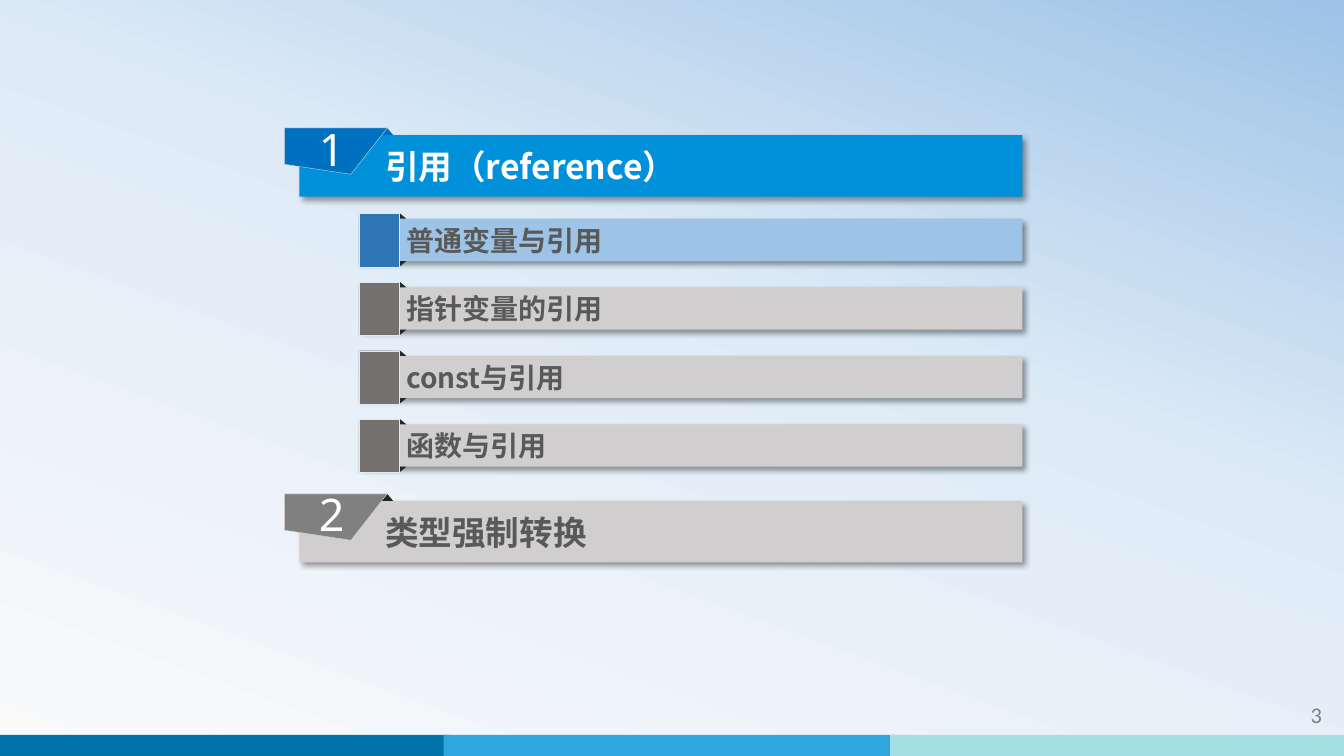
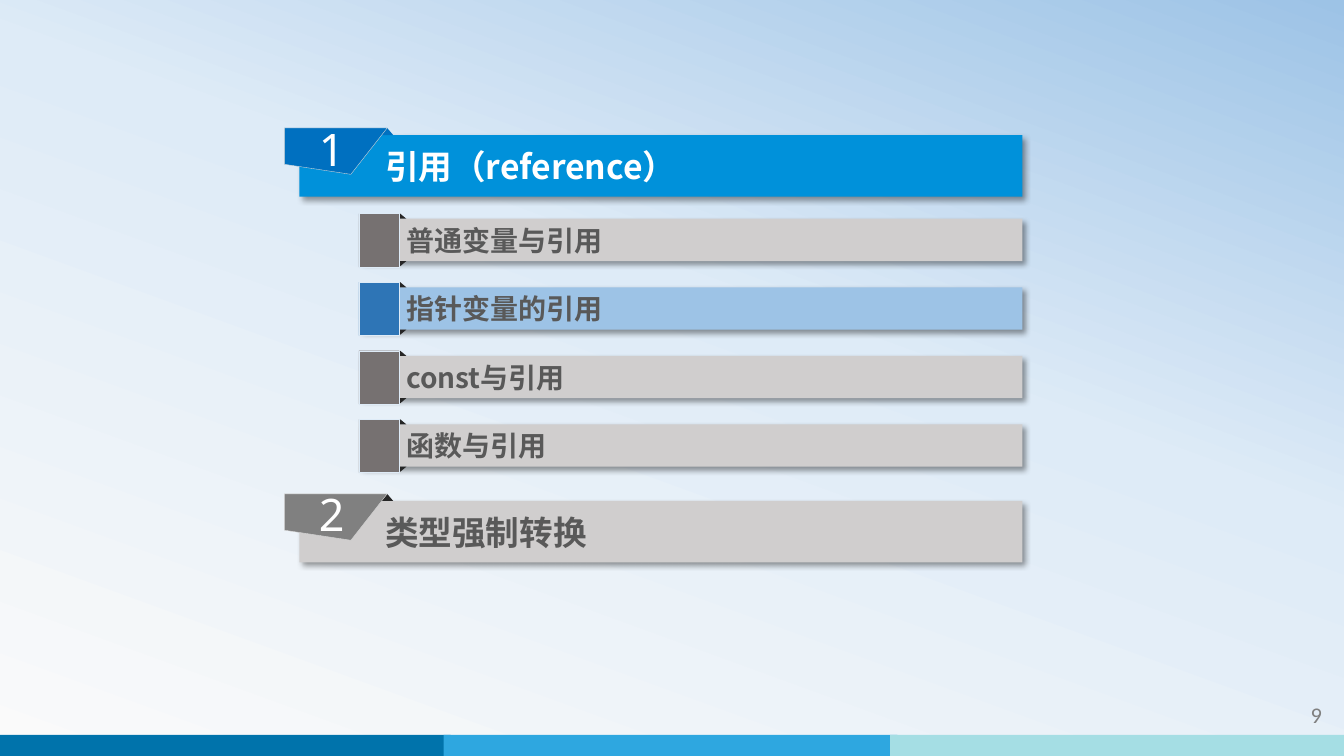
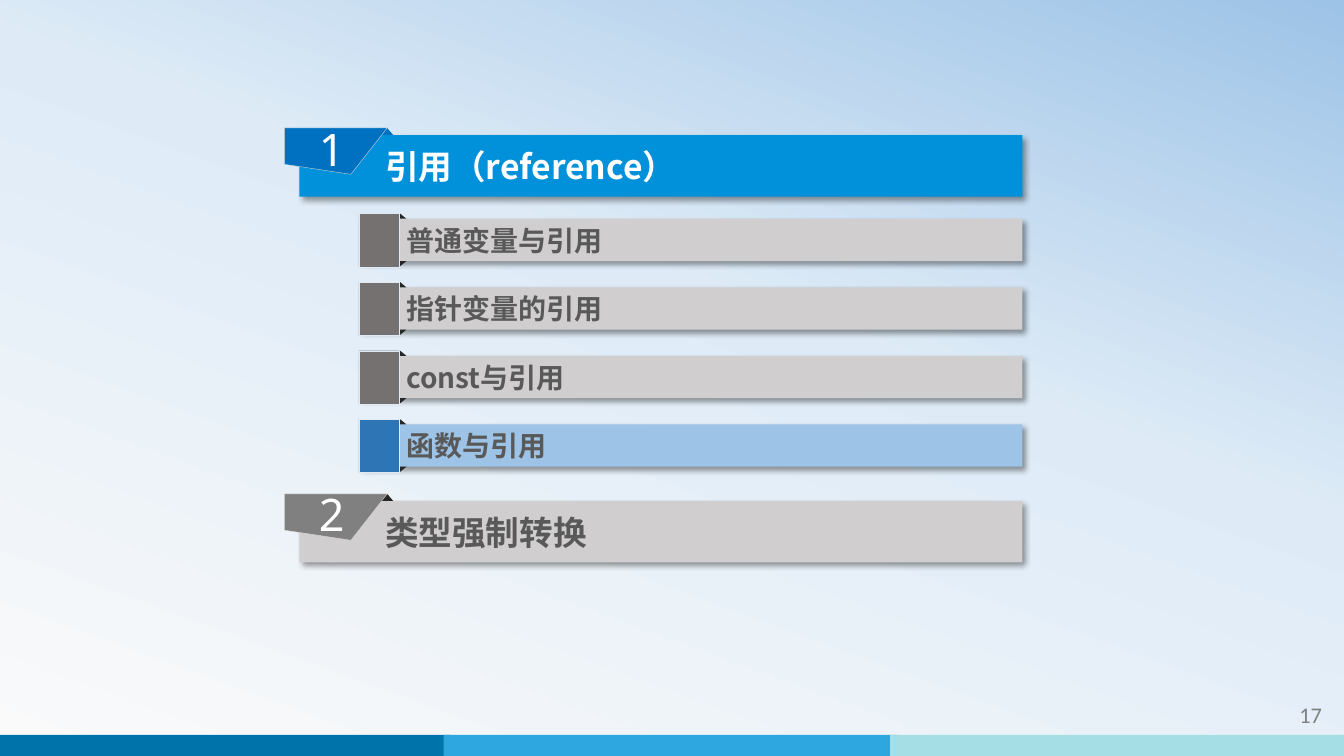
from copy import deepcopy
from dataclasses import dataclass

from lxml.etree import SubElement
from pptx import Presentation
from pptx.dml.color import RGBColor as RGB
from pptx.enum.shapes import MSO_SHAPE as Kind
from pptx.enum.text import MSO_ANCHOR as Anchor, PP_ALIGN as Align
from pptx.oxml.ns import qn
from pptx.util import Inches, Pt

# Content: page number and the index of the topic in focus
PAGES = [("3", 0), ("9", 1), ("17", 3)]
TOPICS = ["普通变量与引用", "指针变量的引用", "const与引用", "函数与引用"]


@dataclass(frozen=True)
class Theme:
    """Colours, fonts and type sizes of the deck."""
    sky: tuple = ((0, "FAFAFA"), (0.58, "DEEBF7"), (1, "9DC3E6"))
    bands: tuple = ("0073AB", "2EA7E0", "A5DEE4")
    white: str = "FFFFFF"
    ink: str = "595959"
    fold: str = "262626"
    page: str = "808080"
    rim: str = "D9D9D9"
    edge: str = "DEEBF7"
    shade: str = "000000"
    # (bar, tab) for a topic in focus and at rest
    focus: tuple = ("9DC3E6", "2E75B6")
    rest: tuple = ("D0CECE", "767171")
    # (bar, badge, fold, text) for a section
    live: tuple = ("0091DA", "0070C0", "0070C0", "FFFFFF")
    idle: tuple = ("D0CECE", "808080", "262626", "595959")
    han: str = "Noto Sans CJK SC"
    sans: str = "Noto Sans"
    plain: str = "Calibri"
    badge_pt: int = 32
    head_pt: int = 24
    topic_pt: int = 20
    page_pt: int = 16


T = Theme()
SECTIONS = [("1", "引用（reference）", 1.27, T.live),
            ("2", "类型强制转换", 4.9, T.idle)]

# Grid, in inches
WIDE, HIGH = 13.33, 7.5
BAND_X, BAND_STEP, BAND_W, BAND_H = -0.03, 4.43, 4.5, 0.21
RIGHT = 10.14
HEAD_X, HEAD_H = 2.97, 0.61
BADGE_X, BADGE_W, BADGE_H = 2.82, 1.02, 0.46
TAB_X, TAB_W, TAB_H = 3.56, 0.4, 0.53
BAR_X, BAR_H = 3.57, 0.42
TOPIC_Y, PITCH = 2.12, 0.68
FOLD_W, FOLD_H = 0.12, 0.05


def paint(shape, fill, line=None):
    """Give a shape a flat fill, a thin line or none, and no shadow."""
    shape.shadow.inherit = False
    shape.fill.solid()
    shape.fill.fore_color.rgb = RGB.from_string(fill)
    if line:
        shape.line.color.rgb = RGB.from_string(line)
        shape.line.width = Pt(0.25)
    else:
        shape.line.fill.background()
    return shape


def draw(shapes, kind, box, fill, line=None):
    """Add a preset shape at a box given in inches."""
    return paint(shapes.add_shape(kind, *map(Inches, box)), fill, line)


def write(shape, text, size, font, color, bold=False, align=Align.LEFT,
          inset=(0.1, 0.05, 0.1, 0.05), anchor=Anchor.MIDDLE):
    """Set one line of text with its insets and font."""
    frame = shape.text_frame
    frame.text = text
    frame.word_wrap = True
    frame.vertical_anchor = anchor
    (frame.margin_left, frame.margin_top,
     frame.margin_right, frame.margin_bottom) = map(Inches, inset)
    para = frame.paragraphs[0]
    para.alignment = align
    for run in para.runs:
        face = run.font
        face.name, face.size, face.bold = font, Pt(size), bold
        face.color.rgb = RGB.from_string(color)
        SubElement(face._element, qn("a:ea"), typeface=font)


def cast(shape):
    """Drop a soft shadow to the lower right."""
    effects = shape.element.spPr.find(qn("a:effectLst"))
    outer = SubElement(effects, qn("a:outerShdw"), blurRad=str(Pt(4)),
                       dist=str(Pt(3)), dir="2700000", algn="tl",
                       rotWithShape="0")
    color = SubElement(outer, qn("a:srgbClr"), val=T.shade)
    SubElement(color, qn("a:alpha"), val="40000")


def add_bar(shapes, left, top, high, fill, text, size, color, indent):
    """Add a shadowed bar that reaches the right edge of the list."""
    bar = draw(shapes, Kind.RECTANGLE, (left, top, RIGHT - left, high), fill)
    cast(bar)
    write(bar, text, size, T.han, color, bold=True,
          inset=(indent, 0.05, 0.1, 0.05))


def add_section(slide, mark, text, top, look):
    """Add a section bar with its numbered badge."""
    fill, badge, fold, color = look
    shapes = slide.shapes.add_group_shape().shapes
    add_bar(shapes, HEAD_X, top + 0.07, HEAD_H, fill, text, T.head_pt,
            color, 0.85)
    draw(shapes, Kind.ISOSCELES_TRIANGLE, (3.78, top, FOLD_W, 0.07), fold)
    tip = BADGE_X + 0.66
    spots = [(BADGE_X + BADGE_W, top), (tip, top + BADGE_H),
             (BADGE_X, top + 0.36)]
    pen = shapes.build_freeform(Inches(BADGE_X), Inches(top))
    pen.add_line_segments([(Inches(x), Inches(y)) for x, y in spots])
    flag = paint(pen.convert_to_shape(), badge, T.rim)
    write(flag, mark, T.badge_pt, T.sans, T.white, align=Align.CENTER,
          inset=(0.09, 0.04, 0.17, 0.1))


def add_topic(slide, row, text, look):
    """Add a topic bar with a tab folded round its left end."""
    fill, tab = look
    top = TOPIC_Y + row * PITCH
    shapes = slide.shapes.add_group_shape().shapes
    add_bar(shapes, BAR_X, top + FOLD_H, BAR_H, fill, text, T.topic_pt,
            T.ink, 0.46)
    for y, turn in ((top, 0), (top + FOLD_H + BAR_H, 180)):
        fold = draw(shapes, Kind.ISOSCELES_TRIANGLE,
                    (TAB_X + 0.35, y, FOLD_W, FOLD_H), T.fold)
        fold.rotation = turn
    draw(shapes, Kind.RECTANGLE, (TAB_X, top, TAB_W, TAB_H), tab, T.edge)


def add_foot(slide, number):
    """Add the three colour bands and the page number."""
    shapes = slide.shapes.add_group_shape().shapes
    for i, color in enumerate(T.bands):
        draw(shapes, Kind.RECTANGLE,
             (BAND_X + i * BAND_STEP, HIGH - BAND_H, BAND_W, BAND_H), color)
    box = slide.shapes.add_textbox(*map(Inches, (11.62, 6.91, 1.59, 0.4)))
    write(box, number, T.page_pt, T.plain, T.page, align=Align.RIGHT,
          anchor=Anchor.TOP)


def set_sky(master):
    """Give every slide the same gradient background."""
    fill = master.background.fill
    fill.gradient()
    fill.gradient_angle = 70
    stops = master.element.find(".//" + qn("a:gsLst"))
    stops.append(deepcopy(stops[-1]))
    for stop, (place, color) in zip(fill.gradient_stops, T.sky):
        stop.position = place
        stop.color.rgb = RGB.from_string(color)


def main():
    """Build the deck."""
    deck = Presentation()
    deck.slide_width, deck.slide_height = Inches(WIDE), Inches(HIGH)
    set_sky(deck.slide_master)
    for number, focus in PAGES:
        slide = deck.slides.add_slide(deck.slide_layouts[6])
        add_foot(slide, number)
        for section in SECTIONS:
            add_section(slide, *section)
        for row, text in enumerate(TOPICS):
            add_topic(slide, row, text, T.focus if row == focus else T.rest)
    deck.save("out.pptx")


main()
